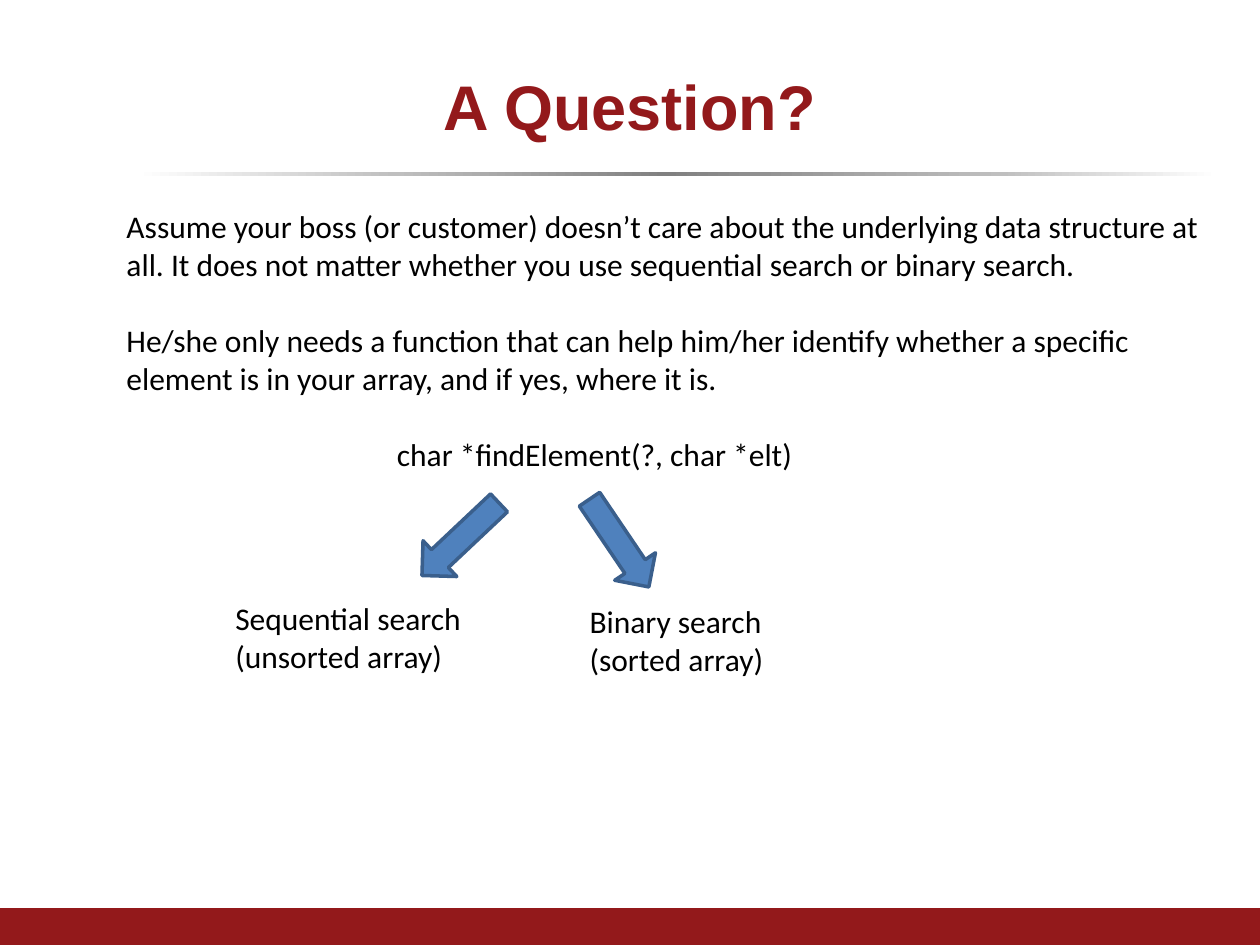
"""Build the slide that asks which search hides behind one function."""
from dataclasses import dataclass

from lxml.etree import SubElement
from pptx import Presentation
from pptx.dml.color import RGBColor
from pptx.enum.shapes import MSO_SHAPE as Preset
from pptx.enum.text import MSO_ANCHOR as Anchor, PP_ALIGN as Align
from pptx.oxml.ns import qn
from pptx.shapes.autoshape import Shape
from pptx.slide import Slide
from pptx.text.text import TextFrame
from pptx.util import Pt

WHITE = RGBColor(0xFF, 0xFF, 0xFF)
SILVER = RGBColor(0xBF, 0xBF, 0xBF)
GREY = RGBColor(0x80, 0x80, 0x80)
BLACK = RGBColor(0x00, 0x00, 0x00)
CRIMSON = RGBColor(0x93, 0x19, 0x1B)
BLUE = RGBColor(0x4F, 0x81, 0xBD)
NAVY = RGBColor(0x3A, 0x5F, 0x8C)

RULE_STOPS = ((0, WHITE), (24, SILVER), (49, GREY), (80, SILVER), (100, WHITE))
LINE_HEIGHT = 22


@dataclass(frozen=True)
class Area:
    left: float
    top: float
    width: float
    height: float

    def lengths(self) -> tuple[Pt, Pt, Pt, Pt]:
        return Pt(self.left), Pt(self.top), Pt(self.width), Pt(self.height)


@dataclass(frozen=True)
class Choice:
    lines: tuple[str, str]
    label: Area
    arrow: Area
    rotation: float


CHOICES = (
    Choice(("Sequential search", "(unsorted array)"),
           Area(127.4, 339, 158.4, 51), Area(249.1, 277.9, 28.1, 60.5), 46.7),
    Choice(("Binary search", "(sorted array)"),
           Area(329.8, 340.6, 158.4, 51), Area(339.8, 280.1, 28.1, 60.5), 325.9),
)


def write(frame: TextFrame, text: str, *, size: float = 18, font: str = "Calibri",
          color: RGBColor = BLACK, bold: bool = False, align: Align = Align.LEFT,
          before: float = 0, indent: float = 0) -> None:
    para = frame.paragraphs[0] if not frame.text else frame.add_paragraph()
    para.alignment = align
    para.space_before = Pt(before)
    if indent:
        para._p.get_or_add_pPr().set("marL", str(Pt(indent)))
    span = para.add_run()
    span.text = text
    span.font.size = Pt(size)
    span.font.name = font
    span.font.bold = bold
    span.font.color.rgb = color


def add_text_box(page: Slide, area: Area) -> TextFrame:
    frame = page.shapes.add_textbox(*area.lengths()).text_frame
    frame.word_wrap = True
    return frame


def add_block(page: Slide, preset: Preset, area: Area, color: RGBColor) -> Shape:
    block = page.shapes.add_shape(preset, *area.lengths())
    block.shadow.inherit = False
    block.fill.solid()
    block.fill.fore_color.rgb = color
    block.line.fill.background()
    return block


def add_rule(page: Slide, area: Area) -> None:
    rule = add_block(page, Preset.RECTANGLE, area, GREY)
    rule.fill.gradient()
    rule.fill.gradient_angle = 0
    stops = rule._element.spPr.find(f".//{qn('a:gsLst')}")
    stops.clear()
    for percent, color in RULE_STOPS:
        stop = SubElement(stops, qn("a:gs"), pos=str(percent * 1000))
        SubElement(stop, qn("a:srgbClr"), val=str(color))


def add_title(page: Slide, text: str, area: Area) -> None:
    title = page.shapes.title
    title.left, title.top, title.width, title.height = area.lengths()
    title.text_frame.vertical_anchor = Anchor.MIDDLE
    write(title.text_frame, text, size=36, font="Arial", color=CRIMSON,
          bold=True, align=Align.CENTER)


def add_choice(page: Slide, choice: Choice) -> None:
    arrow = add_block(page, Preset.DOWN_ARROW, choice.arrow, BLUE)
    arrow.rotation = choice.rotation
    arrow.line.color.rgb = NAVY
    arrow.line.width = Pt(2)
    label = add_text_box(page, choice.label)
    for line in choice.lines:
        write(label, line)


def main() -> None:
    deck = Presentation()
    deck.slide_width, deck.slide_height = Pt(720), Pt(540)
    page = deck.slides.add_slide(deck.slide_layouts.get_by_name("Title Only"))

    add_rule(page, Area(77.8, 98.3, 617.8, 2.2))
    add_block(page, Preset.RECTANGLE, Area(0, 519, 720, 21), CRIMSON)
    add_title(page, "A Question?", Area(36, 21.6, 648, 77))

    body = add_text_box(page, Area(65.2, 114.6, 635, 225.4))
    write(body, "Assume your boss (or customer) doesn’t care about the underlying data "
                "structure at all. It does not matter whether you use sequential search "
                "or binary search.")
    write(body, "He/she only needs a function that can help him/her identify whether a "
                "specific element is in your array, and if yes, where it is.",
          before=LINE_HEIGHT)
    write(body, "char *findElement(?, char *elt)", before=LINE_HEIGHT, indent=154.5)

    for choice in CHOICES:
        add_choice(page, choice)
    deck.save("out.pptx")


if __name__ == "__main__":
    main()
